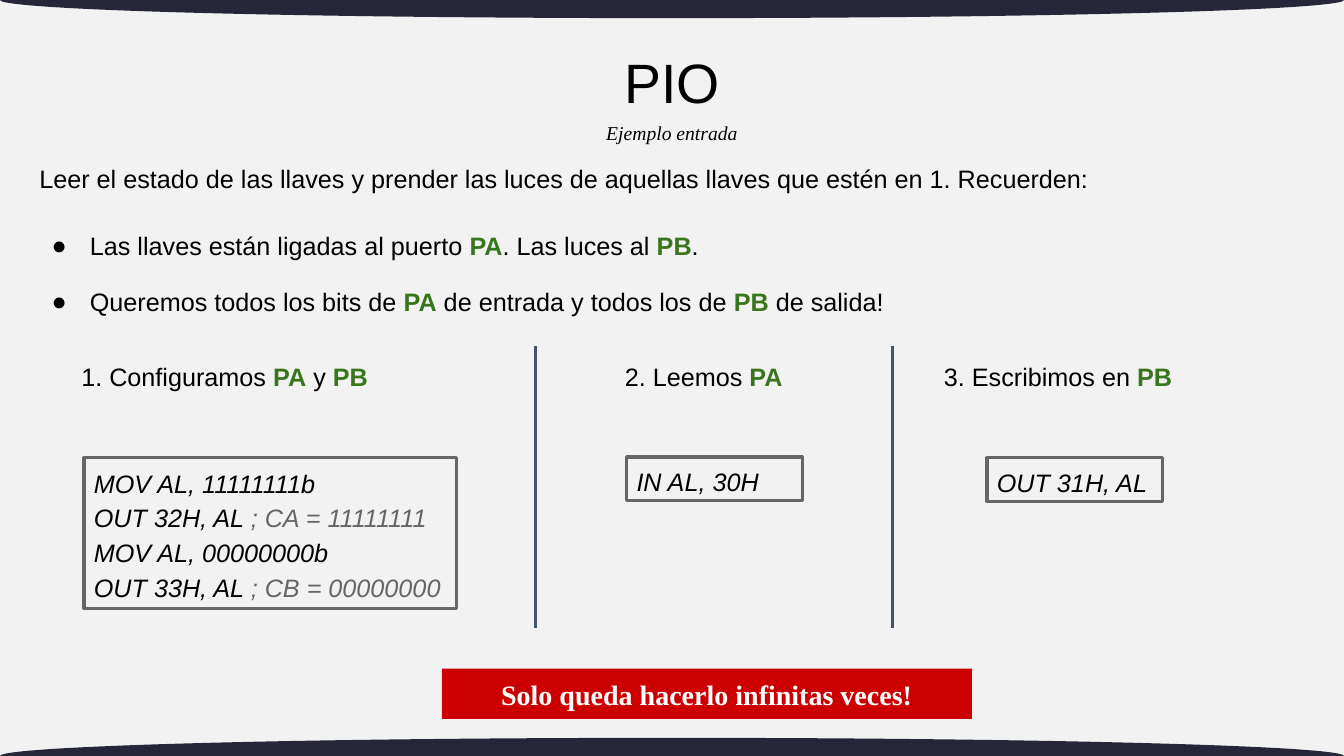
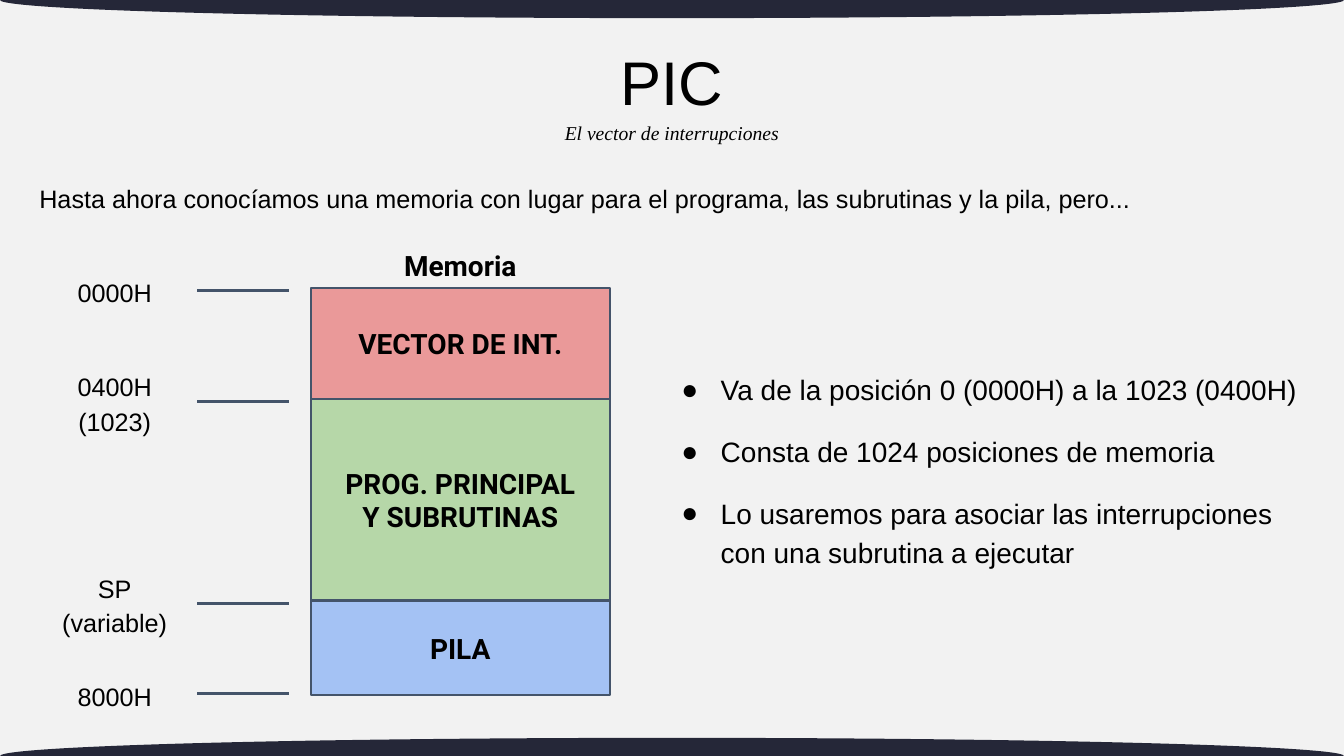
from lxml.etree import SubElement
from pptx import Presentation
from pptx.dml.color import RGBColor
from pptx.enum.shapes import MSO_CONNECTOR as Connector, MSO_SHAPE as Preset
from pptx.enum.text import MSO_ANCHOR as Anchor, MSO_AUTO_SIZE as AutoSize, PP_ALIGN as Align
from pptx.oxml.ns import qn
from pptx.util import Inches, Pt

COLUMNS, ROWS = 160, 90
CELL = Inches(1) / 12


def rgb(value):
    return RGBColor.from_string(value)


def cells(*counts):
    return [round(count * CELL) for count in counts]


class Deck:
    INK, PAPER, BAND = "000000", "F2F2F2", "252738"
    GREEN, GRAY, SLATE, RED, WHITE = "38761D", "666666", "44546A", "CC0000", "FFFFFF"
    SANS, SERIF, LABEL = "Arial", "Times New Roman", "Roboto"
    BAND_HEIGHT = 4.32

    def __init__(self):
        self.presentation = Presentation()
        self.presentation.slide_width, self.presentation.slide_height = cells(COLUMNS, ROWS)
        self.slide = None
        background = self.presentation.slide_master.background.fill
        background.solid()
        background.fore_color.rgb = rgb(self.PAPER)

    def add_slide(self, title, subtitle, title_size):
        first = self.slide is None
        self.slide = self.presentation.slides.add_slide(self.presentation.slide_layouts[1])
        if first:
            self.add_master_bands()
        heading = self.place(self.slide.shapes.title, 40, 4.5, 80, 11.3)
        self.set_text(heading, [title], title_size, align=Align.CENTER, spacing=0.9)
        self.text((52.8, 13.8, 54.4, 4.1), [subtitle], 14, font=self.SERIF,
                  align=Align.CENTER, spacing=1, italic=True)

    def add_master_bands(self):
        tree = self.presentation.slide_master.shapes.element
        for number, edge in enumerate((0, ROWS)):
            box = (0, edge - self.BAND_HEIGHT / 2, COLUMNS, self.BAND_HEIGHT)
            band = self.shape(box, fill=self.BAND, preset=Preset.OVAL)
            band.element.nvSpPr.cNvPr.set("id", str(100 + number))
            tree.insert(2 + number, band.element)

    def place(self, shape, *box):
        shape.left, shape.top, shape.width, shape.height = cells(*box)
        return shape

    def set_text(self, shape, lines, size, font=SANS, color=INK, accent=GREEN, accent_bold=True,
                 align=Align.LEFT, anchor=Anchor.MIDDLE, spacing=1.15, gap=0,
                 bullet_indent=None, bold=False, italic=False):
        frame = shape.text_frame
        frame.word_wrap = True
        frame.auto_size = AutoSize.NONE
        frame.vertical_anchor = anchor
        for index, line in enumerate(lines):
            paragraph = frame.add_paragraph() if index else frame.paragraphs[0]
            if bullet_indent:
                self.bullet(paragraph, bullet_indent)
            paragraph.alignment = align
            paragraph.line_spacing = spacing
            paragraph.space_before = Pt(gap if index else 0)
            paragraph.font.name = font
            paragraph.font.size = Pt(size)
            paragraph.font.color.rgb = rgb(color)
            paragraph.font.bold = bold
            paragraph.font.italic = italic
            for position, piece in enumerate(line.split("|")):
                if piece:
                    run = paragraph.add_run()
                    run.text = piece
                    if position % 2:
                        run.font.color.rgb = rgb(accent)
                        run.font.bold = accent_bold

    def bullet(self, paragraph, indent):
        properties = paragraph._p.get_or_add_pPr()
        properties.set("marL", str(Inches(0.5)))
        properties.set("indent", str(-Inches(indent)))
        color = SubElement(properties, qn("a:buClr"))
        SubElement(color, qn("a:srgbClr")).set("val", self.INK)
        SubElement(properties, qn("a:buChar")).set("char", "●")

    def text(self, box, lines, size=18, **style):
        shape = self.slide.shapes.add_textbox(*cells(*box))
        self.set_text(shape, lines, size, **style)

    def bullets(self, box, lines, size, gap, indent):
        body = self.place(self.slide.placeholders[1], *box)
        self.set_text(body, lines, size, anchor=Anchor.TOP, gap=gap, bullet_indent=indent)

    def shape(self, box, fill=None, line=None, width=1.5, preset=Preset.RECTANGLE):
        shape = self.slide.shapes.add_shape(preset, *cells(*box))
        shape.shadow.inherit = False
        if fill:
            shape.fill.solid()
            shape.fill.fore_color.rgb = rgb(fill)
        else:
            shape.fill.background()
        if line:
            shape.line.color.rgb = rgb(line)
            shape.line.width = Pt(width)
        else:
            shape.line.fill.background()
        return shape

    def code(self, box, lines):
        shape = self.shape(box, line=self.GRAY, width=2.25)
        self.set_text(shape, lines, 18, accent=self.GRAY, accent_bold=False, italic=True)

    def block(self, box, fill, lines):
        shape = self.shape(box, fill=fill, line=self.SLATE)
        self.set_text(shape, lines, 20, font=self.LABEL, align=Align.CENTER, spacing=1, bold=True)

    def banner(self, box, message):
        shape = self.shape(box, fill=self.RED)
        self.set_text(shape, [message], 20, font=self.SERIF, color=self.WHITE,
                      align=Align.CENTER, spacing=1, bold=True)

    def line(self, *ends):
        connector = self.slide.shapes.add_connector(Connector.STRAIGHT, *cells(*ends))
        connector.line.color.rgb = rgb(self.SLATE)
        connector.line.width = Pt(2.25)
        SubElement(connector.element.spPr, qn("a:effectLst"))


def build_input_example(deck):
    deck.add_slide("PIO", "Ejemplo entrada", 39.6)
    deck.text((3.5, 18.4, 148, 5.2), [
        "Leer el estado de las llaves y prender las luces de aquellas llaves que estén en 1. Recuerden:"])
    deck.bullets((3.5, 26.3, 149, 12.4), [
        "Las llaves están ligadas al puerto |PA|. Las luces al |PB|.",
        "Queremos todos los bits de |PA| de entrada y todos los de |PB| de salida!",
    ], size=18, gap=15, indent=0.38)
    steps = [
        (8.5, "1. Configuramos |PA| y |PB|", (10, 54.5, 44.3, 17.9), [
            "MOV AL, 11111111b",
            "OUT 32H, AL |; CA = 11111111",
            "MOV AL, 00000000b",
            "OUT 33H, AL |; CB = 00000000"]),
        (73.2, "2. Leemos |PA|", (74.6, 54.4, 20.9, 5.2), ["IN AL, 30H"]),
        (111.2, "3. Escribimos en |PB|", (117.5, 54.5, 20.9, 5.2), ["OUT 31H, AL"]),
    ]
    for left, heading, code_box, code_lines in steps:
        deck.text((left, 41.2, 37.7, 6.7), [heading])
        deck.code(code_box, code_lines)
    for column in (63.8, 106.2):
        deck.line(column, 41.2, column, 74.8)
    deck.banner((52.6, 79.6, 63.1, 6), "Solo queda hacerlo infinitas veces!")


def build_interrupt_vector(deck):
    deck.add_slide("PIC", "El vector de interrupciones", 44)
    deck.text((3.5, 20, 153.2, 6.8), [
        "Hasta ahora conocíamos una memoria con lugar para el programa, las subrutinas y la pila, pero..."])
    memory_left, memory_width = 37, 35.6
    deck.text((memory_left, 28.9, memory_width, 5.4), ["Memoria"], 20, font=deck.LABEL,
              align=Align.CENTER, spacing=1, bold=True)
    blocks = [
        (34.3, 47.5, "EA9999", ["VECTOR DE INT."]),
        (47.5, 71.5, "B6D7A8", ["PROG. PRINCIPAL", "Y SUBRUTINAS"]),
        (71.5, 82.8, "A4C2F4", ["PILA"]),
    ]
    for top, bottom, fill, lines in blocks:
        deck.block((memory_left, top, memory_width, bottom - top), fill, lines)
    addresses = [
        (34.6, ["0000H"]),
        (47.8, ["0400H", "(1023)"]),
        (71.8, ["SP", "(variable)"]),
        (82.6, ["8000H"]),
    ]
    label_height = 8.6
    for row, lines in addresses:
        deck.line(23.5, row, 34.4, row)
        deck.text((5.2, row - label_height / 2, 16.9, label_height), lines, align=Align.CENTER)
    deck.bullets((78.6, 43.2, 80.4, 24), [
        "Va de la posición 0 (0000H) a la 1023 (0400H)",
        "Consta de 1024 posiciones de memoria",
        "Lo usaremos para asociar las interrupciones con una subrutina a ejecutar",
    ], size=20, gap=16.5, indent=0.39)


def main():
    deck = Deck()
    build_input_example(deck)
    build_interrupt_vector(deck)
    deck.presentation.save("out.pptx")


if __name__ == "__main__":
    main()
